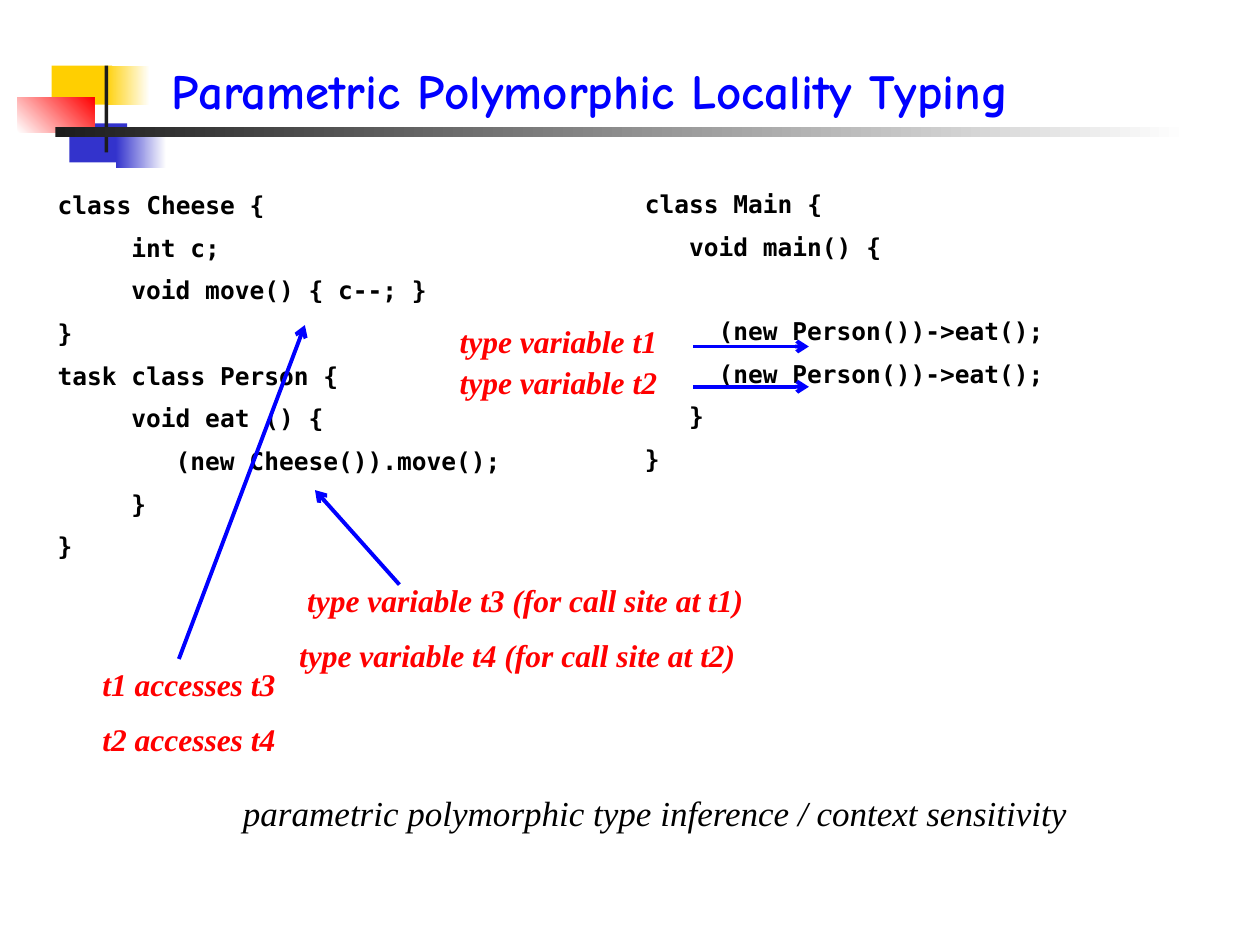
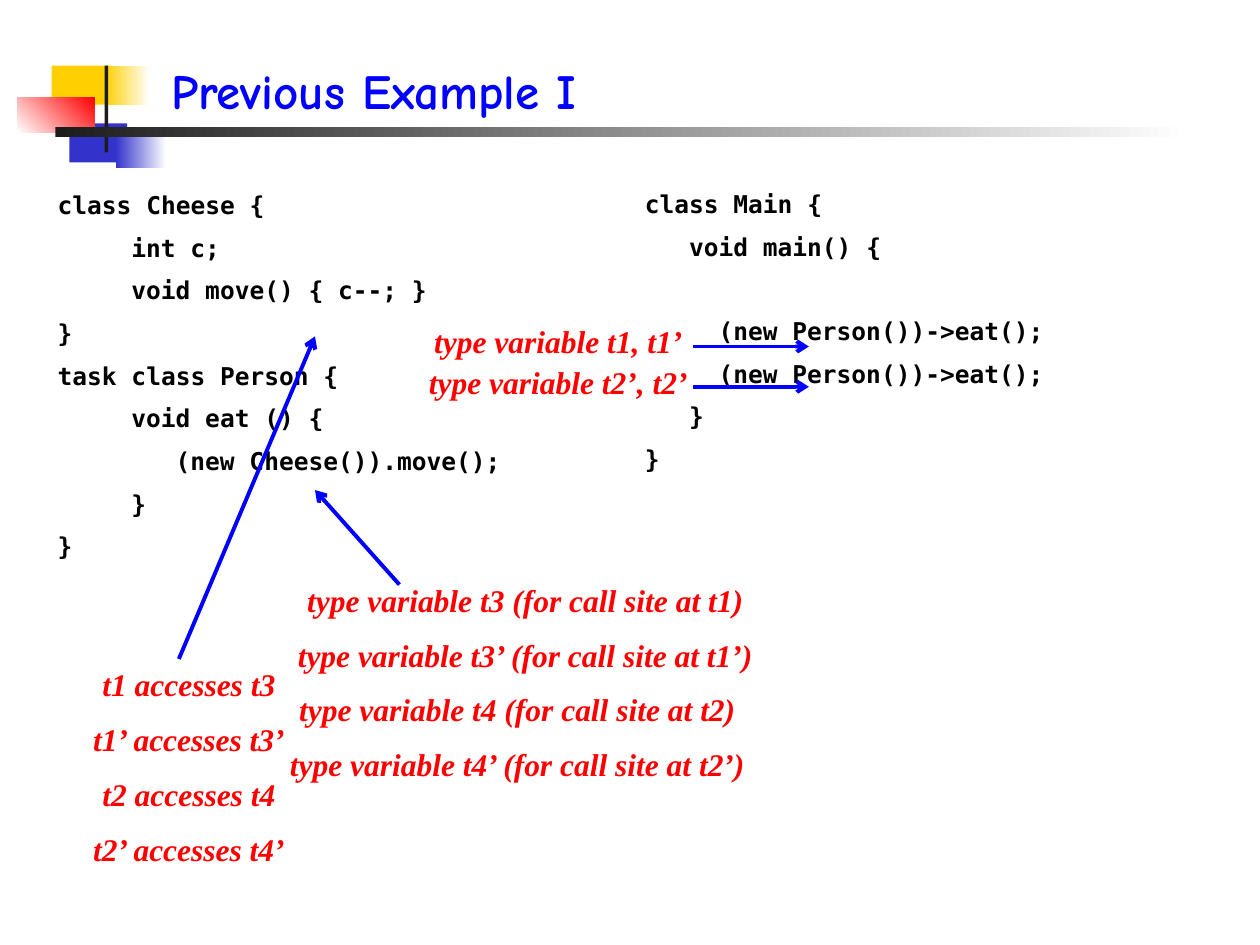
import pptx
import pptx.util
import pptx.dml.color
import pptx.enum.shapes
import pptx.enum.text
import pptx.oxml
import pptx.oxml.ns

Inches, Pt = pptx.util.Inches, pptx.util.Pt
RGBColor = pptx.dml.color.RGBColor
Align, Anchor = pptx.enum.text.PP_ALIGN, pptx.enum.text.MSO_ANCHOR
RECT = pptx.enum.shapes.MSO_SHAPE.RECTANGLE
LINE = pptx.enum.shapes.MSO_CONNECTOR.STRAIGHT

GOLD = RGBColor(0xFF, 0xCF, 0x01)
NAVY = RGBColor(0x33, 0x33, 0xCC)
DARK = RGBColor(0x1C, 0x1C, 0x1C)
RED = RGBColor(0xFF, 0, 0)
BLUE = RGBColor(0, 0, 0xFF)
BLACK = RGBColor(0, 0, 0)
WHITE = RGBColor(0xFF, 0xFF, 0xFF)

# Text styles: font values by role
SERIF = "Times New Roman"
TITLE = {"name": "Comic Neue", "size": Pt(28), "bold": True}, BLUE
CODE = {"name": "DejaVu Sans Mono", "size": Pt(14), "bold": True}, BLACK
NOTE = {"name": SERIF, "size": Pt(18), "bold": True, "italic": True}, RED
CLAIM = {"name": SERIF, "size": Pt(20), "italic": True}, BLACK

# Header ornament: box, colours (one is solid, two are a gradient), angle
BANDS = [
    ((0.41, 0.52, 0.48, 0.31), [GOLD], 0),
    ((0.83, 0.52, 0.36, 0.31), [GOLD, WHITE], 0),
    ((0.55, 0.98, 0.46, 0.31), [NAVY], 0),
    ((0.92, 1.02, 0.40, 0.31), [NAVY, WHITE], 0),
    ((0.14, 0.77, 0.61, 0.28), [WHITE, RED], 45),
    ((0.83, 0.52, 0.03, 0.69), [DARK], 0),
    ((0.44, 1.01, 9, 0.08), [DARK, WHITE], 0),
]

# Code lines: indent in characters, text (an empty text is a skipped line)
MAIN = [(0, "class Main {"), (3, "void main() {"), (0, ""),
        (5, "(new Person())->eat();"), (5, "(new Person())->eat();"),
        (3, "}"), (0, "}")]
CHEESE = [(0, "class Cheese {"), (5, "int c;"), (5, "void move() { c--; }"),
          (0, "}"), (0, "task class Person {"), (5, "void eat () {"),
          (8, "(new Cheese()).move();"), (5, "}"), (0, "}")]

# Notes: right indent in spaces, text
SLIDES = [
    {"title": "Parametric Polymorphic Locality Typing",
     "vars": ["type variable t1", "type variable t2"],
     "sites": [(0, "type variable t3 (for call site at t1)"),
               (2, "type variable t4 (for call site at t2)")],
     "uses": ["t1 accesses t3", "t2 accesses t4"],
     "tip": (2.42, 2.58),
     "claim": "parametric polymorphic type inference / context sensitivity"},
    {"title": "Previous Example I",
     "vars": ["type variable t1, t1’", "type variable t2’, t2’"],
     "sites": [(0, "type variable t3 (for call site at t1)"),
               (0, "type variable t3’ (for call site at t1’)"),
               (2, "type variable t4 (for call site at t2)"),
               (2, "type variable t4’ (for call site at t2’)")],
     "uses": ["t1 accesses t3", "t1’ accesses t3’",
              "t2 accesses t4", "t2’ accesses t4’"],
     "tip": (2.5, 2.67),
     "claim": None},
]


def style(font, look):
    """Give a font the values and colour of a text style."""
    vals, color = look
    for key, val in vals.items():
        setattr(font, key, val)
    font.color.rgb = color


def write(slide, box, lines, look, align=Align.LEFT):
    """Add a text box of (indent, text) lines with even spacing."""
    frame = slide.shapes.add_textbox(*map(Inches, box)).text_frame
    frame.word_wrap = True
    size = look[0]["size"].pt
    gap, pitch = 0.54 * size, 1.7 * size
    # A space is 0.6 em in the code font and 0.25 em in the serif font
    if align == Align.LEFT:
        side, unit = "marL", 0.602 * size
    else:
        side, unit = "marR", 0.25 * size
    para, skip = None, 0
    for indent, text in lines:
        if not text:
            skip += pitch
            continue
        first = para is None
        para = frame.paragraphs[0] if first else frame.add_paragraph()
        para.alignment = align
        para.space_before = Pt(0 if first else gap + skip)
        skip = 0
        if indent:
            para._p.get_or_add_pPr().set(side, str(int(Pt(indent * unit))))
        run = para.add_run()
        run.text = text
        style(run.font, look)


def arrow(slide, start, end):
    """Draw a blue arrow from start to end."""
    link = slide.shapes.add_connector(LINE, *map(Inches, start + end))
    link.line.color.rgb = BLUE
    link.line.width = Pt(2.25)
    tail = pptx.oxml.parse_xml(
        '<a:tailEnd %s type="arrow"/>' % pptx.oxml.ns.nsdecls("a"))
    link.line._get_or_add_ln().append(tail)
    link._element.spPr.append(pptx.oxml.parse_xml(
        "<a:effectLst %s/>" % pptx.oxml.ns.nsdecls("a")))


def adorn(slide, layout):
    """Draw the header ornament and move it to the shared layout."""
    for box, colors, angle in BANDS:
        band = slide.shapes.add_shape(RECT, *map(Inches, box))
        band.shadow.inherit = False
        band.line.fill.background()
        if len(colors) == 1:
            band.fill.solid()
            band.fill.fore_color.rgb = colors[0]
        else:
            band.fill.gradient()
            band.fill.gradient_angle = angle
            for stop, color, pos in zip(band.fill.gradient_stops, colors, (0, 1)):
                stop.color.rgb = color
                stop.position = pos
        layout.shapes.element.append(band.element)


def head(slide, text):
    """Place and format the title."""
    title = slide.shapes.title
    place = {"left": 1.26, "top": 0.25, "width": 8.52, "height": 0.75}
    for key, val in place.items():
        setattr(title, key, Inches(val))
    frame = title.text_frame
    frame.text = text
    frame.word_wrap = True
    frame.vertical_anchor = Anchor.BOTTOM
    frame.paragraphs[0].alignment = Align.LEFT
    style(frame.paragraphs[0].runs[0].font, TITLE)


def build(slide, data):
    """Fill one slide with code, notes and arrows."""
    head(slide, data["title"])
    write(slide, (5.02, 1.45, 3.5, 2.81), MAIN, CODE)
    write(slide, (0.36, 1.46, 3.74, 3.52), CHEESE, CODE)
    for row, text in enumerate(data["vars"]):
        y = 2.75 + 0.32 * row
        arrow(slide, (5.5, y), (6.42, y))
        write(slide, (3.08, y - 0.24, 2.83, 0.4), [(2, text)], NOTE, Align.CENTER)
    tall = 0.45 * len(data["uses"])
    write(slide, (1.92, 4.56, 4.5, tall), data["sites"], NOTE, Align.CENTER)
    arrow(slide, (3.17, 4.64), (2.5, 3.89))
    uses = [(0, text) for text in data["uses"]]
    write(slide, (-0.75, 5.23, 4.5, tall), uses, NOTE, Align.CENTER)
    arrow(slide, (1.42, 5.23), data["tip"])
    if data["claim"]:
        write(slide, (1.83, 6.23, 6.91, 0.44), [(0, data["claim"])], CLAIM)


deck = pptx.Presentation()
deck.slide_width, deck.slide_height = Inches(10), Inches(7.5)
layout = deck.slide_layouts[5]
for data in SLIDES:
    slide = deck.slides.add_slide(layout)
    if data is SLIDES[0]:
        adorn(slide, layout)
    build(slide, data)
deck.save("out.pptx")
